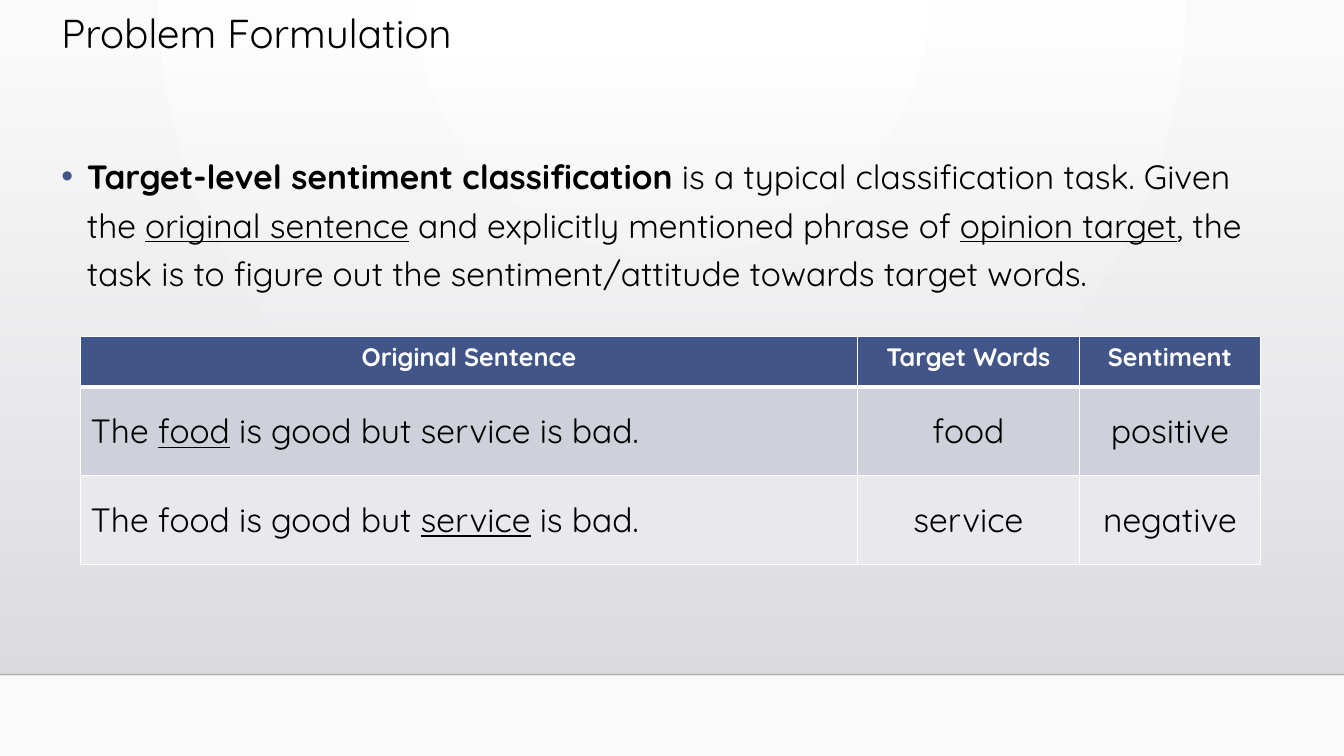
from lxml import etree
from pptx import Presentation
from pptx.dml.color import RGBColor
from pptx.enum.shapes import MSO_CONNECTOR, MSO_SHAPE
from pptx.enum.text import MSO_ANCHOR, PP_ALIGN
from pptx.oxml import parse_xml
from pptx.oxml.ns import nsdecls, qn
from pptx.util import Cm, Pt

LEFT, CENTER = PP_ALIGN.LEFT, PP_ALIGN.CENTER
TOP, MIDDLE = MSO_ANCHOR.TOP, MSO_ANCHOR.MIDDLE
RECTANGLE, STRAIGHT = MSO_SHAPE.RECTANGLE, MSO_CONNECTOR.STRAIGHT
FONT = "Quicksand"
BLACK, WHITE, NAVY = "000000", "FFFFFF", "415588"
ROW_FILLS = [NAVY, "CFD1DA", "E9E9ED"]
WIDTH, HEIGHT = 33.87, 19.05

DEFINITION = [
    ("Target-level sentiment classiﬁcation ", "b"),
    ("is a typical classiﬁcation task. Given the ", ""),
    ("original sentence", "u"),
    (" and explicitly mentioned phrase of ", ""),
    ("opinion target", "u"),
    (", the task is to figure out the sentiment/attitude towards target words.", ""),
]
EXAMPLES = [
    [[("Original Sentence", "b")], [("Target Words", "b")], [("Sentiment", "b")]],
    [[("The ", ""), ("food", "u"), (" is good but service is bad.", "")],
     [("food", "")], [("positive", "")]],
    [[("The food is good but ", ""), ("service", "u"), (" is bad.", "")],
     [("service", "")], [("negative", "")]],
]


def rgb(hex_string):
    """Turn a hex string into a colour."""
    return RGBColor.from_string(hex_string)


def write(frame, runs, size=24, color=BLACK, align=LEFT, anchor=TOP, spacing=1.0):
    """Fill a text frame with one paragraph of (text, style) runs."""
    frame.word_wrap = True
    frame.vertical_anchor = anchor
    paragraph = frame.paragraphs[0]
    paragraph.alignment = align
    paragraph.line_spacing = spacing
    for text, style in runs:
        run = paragraph.add_run()
        run.text = text
        font = run.font
        font.name, font.size = FONT, Pt(size)
        font.bold, font.underline = style == "b", style == "u"
        font.color.rgb = rgb(color)
    return paragraph


def set_gradient(fill, owner, stops, direction):
    """Give a fill (colour, opacity) stops and a direction element."""
    fill.gradient()
    gradient = owner.find(".//" + qn("a:gradFill"))
    for child in list(gradient):
        gradient.remove(child)
    marks = "".join(
        f'<a:gs pos="{position}"><a:srgbClr val="{color}">'
        f'<a:alpha val="{opacity * 1000}"/></a:srgbClr></a:gs>'
        for position, (color, opacity) in zip((0, 100000), stops))
    gradient.append(parse_xml(f'<a:gsLst {nsdecls("a")}>{marks}</a:gsLst>'))
    gradient.append(parse_xml(direction))


def add_backdrop(slide, left, top, width, height):
    """Draw the glow, the shaded wall and the floor line under it."""
    set_gradient(
        slide.background.fill, slide.element, [(WHITE, 100), ("FAFAFA", 100)],
        f'<a:path {nsdecls("a")} path="circle">'
        '<a:fillToRect l="43000" t="0" r="43000" b="100000"/></a:path>')
    wall = slide.shapes.add_shape(RECTANGLE, Cm(left), Cm(top), Cm(width), Cm(height))
    wall.shadow.inherit = False
    wall.line.fill.background()
    set_gradient(wall.fill, wall.element, [("DCDCE0", 0), ("DEDEE2", 100)],
                 f'<a:lin {nsdecls("a")} ang="5400000" scaled="0"/>')
    floor = Cm(top + height)
    floor_line = slide.shapes.add_connector(
        STRAIGHT, Cm(left), floor, Cm(left + width), floor)
    floor_line.line.width = Pt(1)
    floor_line.line.color.rgb = rgb("000001")
    properties = floor_line.element.spPr
    line_color = properties.find(".//" + qn("a:srgbClr"))
    etree.SubElement(line_color, qn("a:alpha"), val="20000")
    etree.SubElement(properties, qn("a:effectLst"))


def add_title(slide, left, top, width, height):
    """Place the slide heading."""
    heading = slide.shapes.add_textbox(Cm(left), Cm(top), Cm(width), Cm(height))
    write(heading.text_frame, [("Problem Formulation", "")], size=28.8,
          anchor=MIDDLE, spacing=0.9)


def add_definition(slide, left, top, width, height):
    """Place the bulleted definition of the task."""
    definition = slide.shapes.add_textbox(Cm(left), Cm(top), Cm(width), Cm(height))
    paragraph = write(definition.text_frame, DEFINITION, spacing=1.2)
    paragraph.space_before = Pt(10)
    properties = paragraph.font._element.getparent()
    indent = Cm(0.64)
    properties.set("marL", str(indent))
    properties.set("indent", str(-indent))
    bullet_color = parse_xml(
        f'<a:buClr {nsdecls("a")}><a:srgbClr val="{NAVY}"/></a:buClr>')
    bullet_font = parse_xml(f'<a:buFont {nsdecls("a")} typeface="Arial"/>')
    bullet = parse_xml(f'<a:buChar {nsdecls("a")} char="•"/>')
    for part in (bullet_color, bullet_font, bullet):
        properties.find(qn("a:defRPr")).addprevious(part)


def set_borders(cell, bottom):
    """Draw white borders around a cell, with its own bottom width."""
    properties = cell._tc.get_or_add_tcPr()
    widths = {"lnL": 1, "lnR": 1, "lnT": 1, "lnB": bottom}
    for position, (side, width) in enumerate(widths.items()):
        properties.insert(position, parse_xml(
            f'<a:{side} {nsdecls("a")} w="{Pt(width)}"><a:solidFill>'
            f'<a:srgbClr val="{WHITE}"/></a:solidFill></a:{side}>'))


def add_examples(slide, left, top, column_widths, row_heights):
    """Build the table of example sentences."""
    table = slide.shapes.add_table(
        len(row_heights), len(column_widths), Cm(left), Cm(top),
        Cm(sum(column_widths)), Cm(sum(row_heights))).table
    for column, width in zip(table.columns, column_widths):
        column.width = Cm(width)
    for row, height in zip(table.rows, row_heights):
        row.height = Cm(height)
    for row_index, (example, fill) in enumerate(zip(EXAMPLES, ROW_FILLS)):
        header = row_index == 0
        for column_index, runs in enumerate(example):
            cell = table.cell(row_index, column_index)
            cell.fill.solid()
            cell.fill.fore_color.rgb = rgb(fill)
            set_borders(cell, bottom=3 if header else 1)
            cell.vertical_anchor = TOP if header else MIDDLE
            write(cell.text_frame, runs, size=18 if header else 24,
                  color=WHITE if header else BLACK,
                  align=CENTER if header or column_index else LEFT,
                  anchor=cell.vertical_anchor)


def main():
    """Build the slide and save it."""
    deck = Presentation()
    deck.slide_width, deck.slide_height = Cm(WIDTH), Cm(HEIGHT)
    slide = deck.slides.add_slide(deck.slide_layouts[6])
    add_backdrop(slide, 0, 1.3, WIDTH, 15.7)
    add_title(slide, 1.3, 0.23, 31.24, 1.32)
    add_definition(slide, 1.3, 3.61, 31.24, 11.58)
    add_examples(slide, 2.03, 8.48, [19.58, 5.59, 4.57], [1.27, 2.24, 2.24])
    deck.save("out.pptx")


if __name__ == "__main__":
    main()
